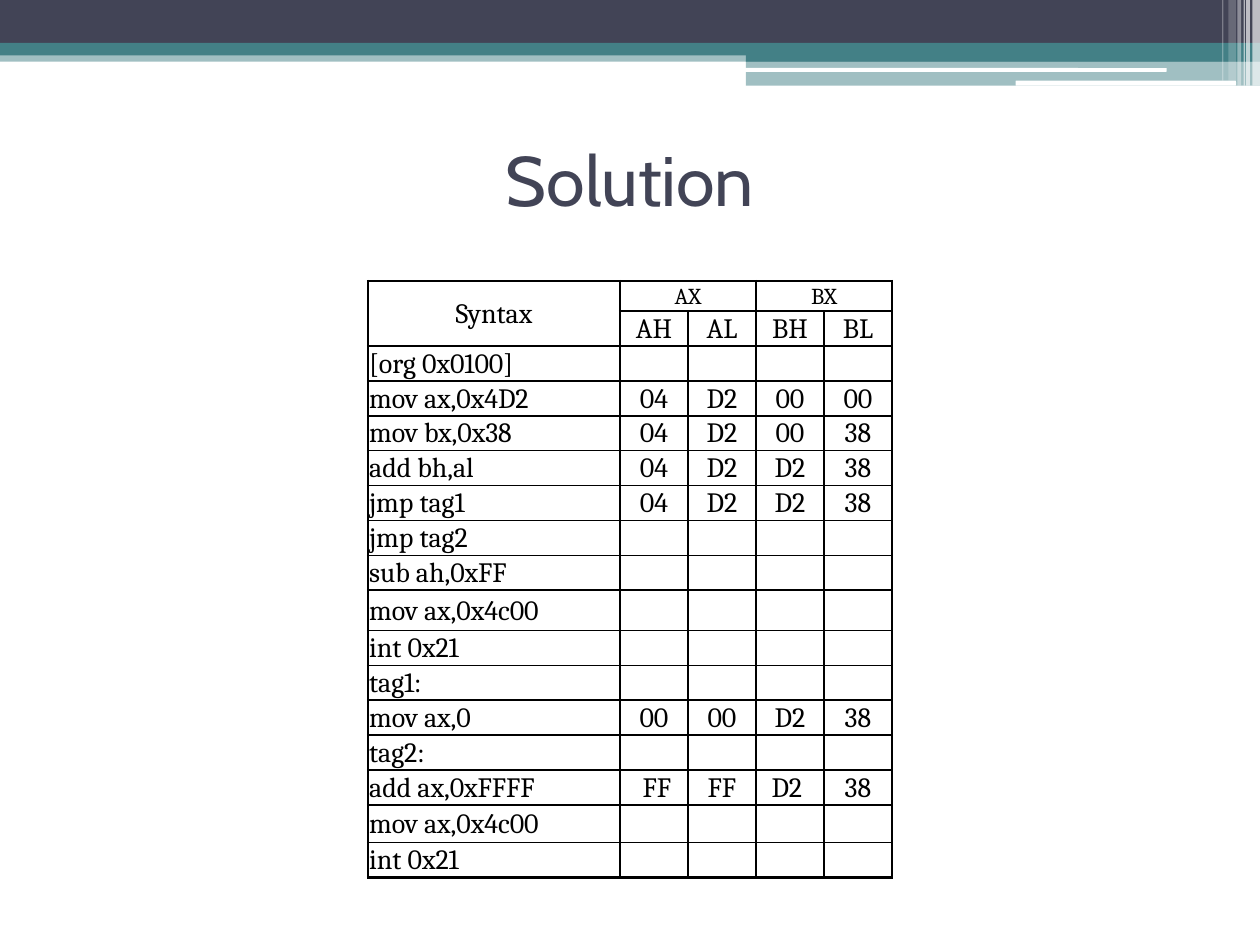
from lxml.etree import SubElement
from pptx import Presentation
from pptx.dml.color import RGBColor
from pptx.enum.shapes import MSO_SHAPE
from pptx.enum.text import MSO_ANCHOR, PP_ALIGN
from pptx.oxml.ns import qn
from pptx.util import Inches, Pt

GRID_STEP = Inches(0.01)
GRID_COLUMNS, GRID_ROWS = 1000, 750
COLORS = {"navy": "424456", "teal": "438086", "white": "FFFFFF", "black": "000000"}

BANDS = [
    ((0, 40, 1000, 9), "teal", 50),
    ((0, 0, 1000, 34), "navy", 100),
    ((0, 34, 1000, 10), "teal", 100),
    ((592, 39, 408, 10), "teal", 100),
    ((592, 48, 408, 20), "teal", 50),
]
RULES = [(591, 54, 335, 3), (806, 64, 175, 4)]
STRIPES = [
    (994, 6, 68, 65),
    (989, 3, 68, 65),
    (987, 1, 68, 60),
    (982, 3, 68, 40),
    (975, 6, 64, 20),
    (970, 1, 64, 30),
]

COLUMN_WIDTHS = [200] + [54] * 4
ROW_HEIGHT = 24
TALL_ROWS = {9: 32, 14: 26, 15: 30}
MERGES = [((0, 0), (1, 0)), ((0, 1), (0, 2)), ((0, 3), (0, 4))]
THICK_COLUMN_EDGES = {0, 1, 3, 5}
THICK_ROW_EDGES = {0, 1, 2, 17}
TRACE = [
    ("Syntax", "AX", "", "BX", ""),
    ("", "AH", "AL", "BH", "BL"),
    ("[org 0x0100]",),
    ("mov ax,0x4D2", "04", "D2", "00", "00"),
    ("mov bx,0x38", "04", "D2", "00", "38"),
    ("add bh,al", "04", "D2", "D2", "38"),
    ("jmp tag1", "04", "D2", "D2", "38"),
    ("jmp tag2",),
    ("sub ah,0xFF",),
    ("mov ax,0x4c00",),
    ("int 0x21",),
    ("tag1:",),
    ("mov ax,0", "00", "00", "D2", "38"),
    ("tag2:",),
    ("add ax,0xFFFF", " FF", "FF", "D2 ", "38"),
    ("mov ax,0x4c00",),
    ("int 0x21",),
]

TITLE_FRAME = {"word_wrap": True, "vertical_anchor": MSO_ANCHOR.MIDDLE}
TITLE_FONT = {"name": "Cabin", "size": Pt(40)}
CELL_FORMAT = {
    "vertical_anchor": MSO_ANCHOR.MIDDLE,
    "margin_left": GRID_STEP,
    "margin_top": GRID_STEP,
    "margin_right": GRID_STEP,
    "margin_bottom": 0,
}
TABLE_FORMAT = {"first_row": False, "horz_banding": False}


def apply_format(target, values):
    """Set each named attribute of the target."""
    for name, value in values.items():
        setattr(target, name, value)


def on_grid(*units):
    """Turn grid units into slide lengths."""
    return [unit * GRID_STEP for unit in units]


def add_block(slide, box, color, opacity=100, outline=MSO_SHAPE.RECTANGLE):
    """Add a flat block with the given opacity in percent."""
    block = slide.shapes.add_shape(outline, *on_grid(*box))
    block.shadow.inherit = False
    block.line.fill.background()
    block.fill.solid()
    block.fill.fore_color.rgb = RGBColor.from_string(COLORS[color])
    if opacity < 100:
        tint = block.fill._xPr.find(".//" + qn("a:srgbClr"))
        SubElement(tint, qn("a:alpha"), val=str(opacity * 1000))


def add_banner(slide):
    """Add the bands, rules and stripes along the top."""
    for box, color, opacity in BANDS:
        add_block(slide, box, color, opacity)
    for box in RULES:
        add_block(slide, box, "white", outline=MSO_SHAPE.ROUNDED_RECTANGLE)
    for left, width, height, opacity in STRIPES:
        add_block(slide, (left, 0, width, height), "white", opacity)


def write_text(paragraph, text, font, color, alignment):
    """Write one formatted run into a paragraph."""
    paragraph.alignment = alignment
    run = paragraph.add_run()
    run.text = text
    apply_format(run.font, font)
    run.font.color.rgb = RGBColor.from_string(COLORS[color])


def add_title(slide, text):
    """Add the centred slide title."""
    frame = slide.shapes.add_textbox(*on_grid(50, 83, 900, 117)).text_frame
    apply_format(frame, TITLE_FRAME)
    write_text(frame.paragraphs[0], text, TITLE_FONT, "navy", PP_ALIGN.CENTER)


def draw_borders(cell, row, column):
    """Draw thick lines around register groups and thin lines inside them."""
    edges = {
        "L": row == 0 or column in THICK_COLUMN_EDGES,
        "R": row == 0 or column + 1 in THICK_COLUMN_EDGES,
        "T": row in THICK_ROW_EDGES,
        "B": row + 1 in THICK_ROW_EDGES,
    }
    properties = cell._tc.get_or_add_tcPr()
    for side, thick in edges.items():
        line = SubElement(properties, qn(f"a:ln{side}"), w=str(Pt(1.5 if thick else 1)))
        fill = SubElement(line, qn("a:solidFill"))
        SubElement(fill, qn("a:srgbClr"), val=COLORS["black"])


def fill_cell(cell, text, row, column):
    """Format a table cell and write its text."""
    draw_borders(cell, row, column)
    cell.fill.background()
    apply_format(cell, CELL_FORMAT)
    paragraph = cell.text_frame.paragraphs[0]
    if not text:
        SubElement(paragraph._p, qn("a:endParaRPr"), sz="1100")
        return
    is_code = column == 0 and row > 1
    is_register_pair = row == 0 and column > 0
    font = {"name": "Cambria", "size": Pt(13 if is_register_pair else 16)}
    alignment = PP_ALIGN.JUSTIFY if is_code else PP_ALIGN.CENTER
    write_text(paragraph, text, font, "black", alignment)


def add_trace_table(slide):
    """Add the table of register values after each instruction."""
    heights = [TALL_ROWS.get(row, ROW_HEIGHT) for row in range(len(TRACE))]
    box = on_grid(292, 223, sum(COLUMN_WIDTHS), sum(heights))
    table = slide.shapes.add_table(len(TRACE), len(COLUMN_WIDTHS), *box).table
    apply_format(table, TABLE_FORMAT)
    for column, width in zip(table.columns, on_grid(*COLUMN_WIDTHS)):
        column.width = width
    for row, height in zip(table.rows, on_grid(*heights)):
        row.height = height
    for first, last in MERGES:
        table.cell(*first).merge(table.cell(*last))
    for row, values in enumerate(TRACE):
        for column in range(len(COLUMN_WIDTHS)):
            text = values[column] if column < len(values) else ""
            fill_cell(table.cell(row, column), text, row, column)


def main():
    """Build the slide and save it."""
    deck = Presentation()
    deck.slide_width, deck.slide_height = on_grid(GRID_COLUMNS, GRID_ROWS)
    slide = deck.slides.add_slide(deck.slide_layouts[6])
    add_banner(slide)
    add_title(slide, "Solution")
    add_trace_table(slide)
    deck.save("out.pptx")


if __name__ == "__main__":
    main()
